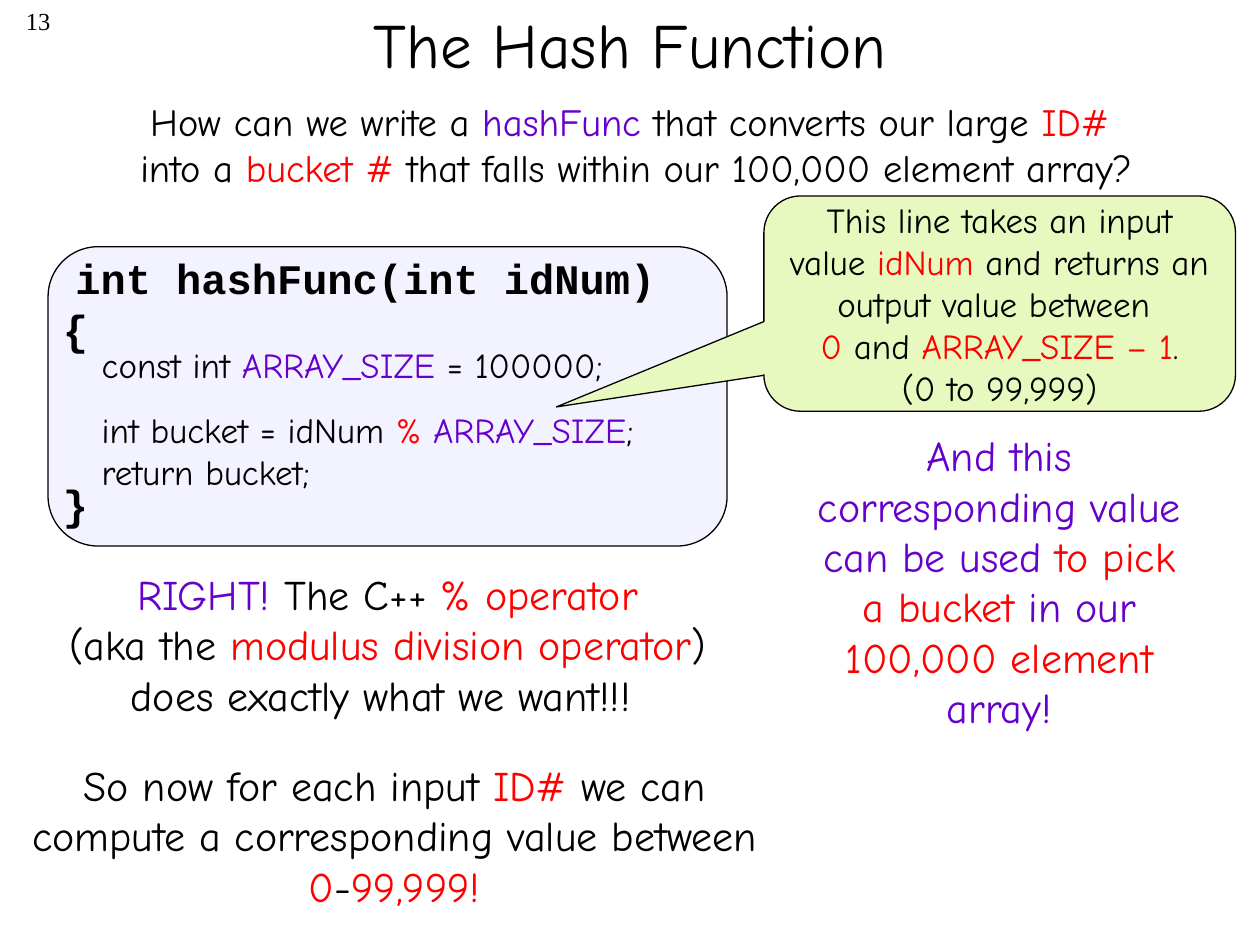
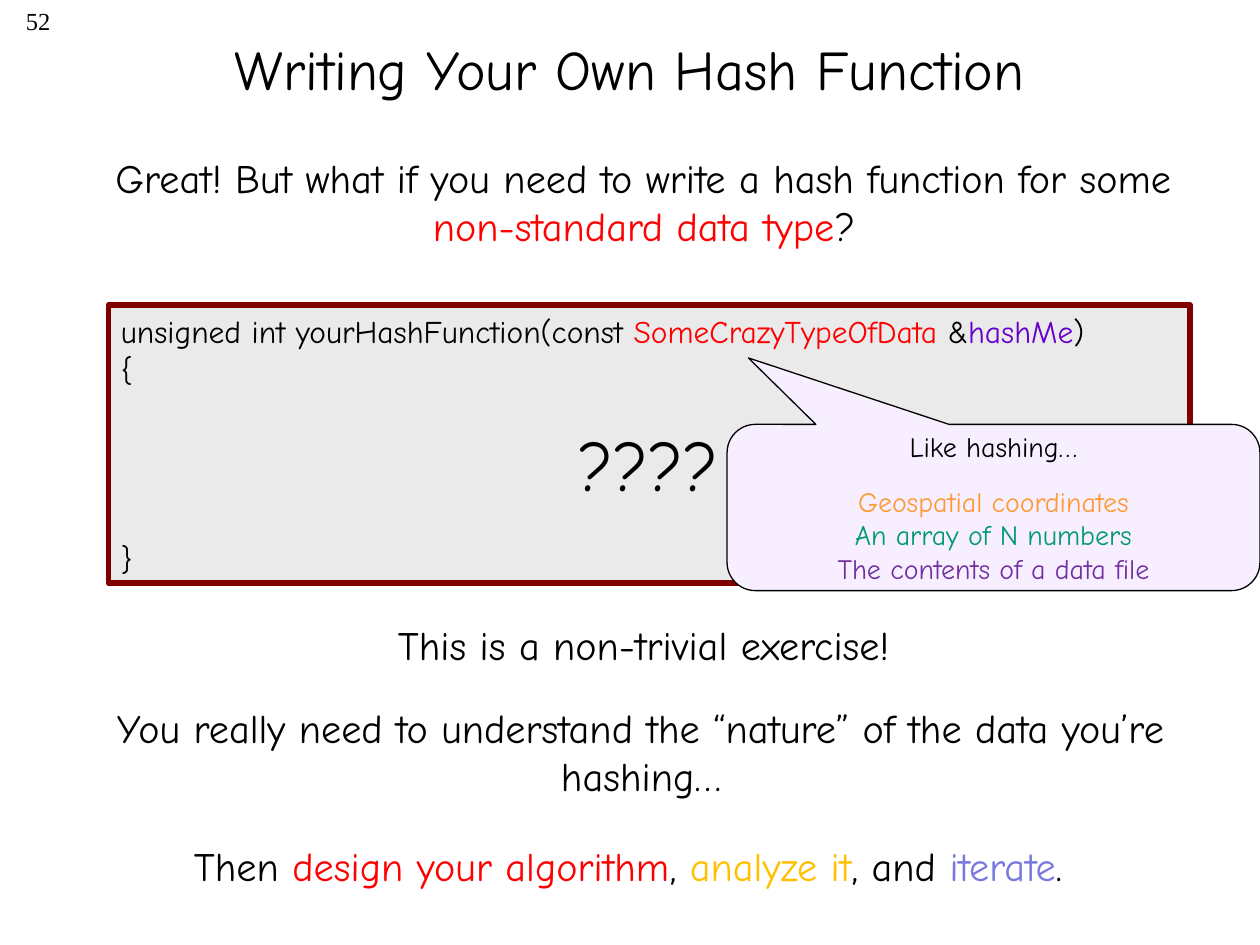
from pptx import Presentation
from pptx.dml.color import RGBColor
from pptx.enum.shapes import MSO_SHAPE
from pptx.enum.text import MSO_ANCHOR, MSO_AUTO_SIZE, PP_ALIGN
from pptx.util import Pt

COLORS = {
    "black": "000000", "red": "FF0000", "violet": "6600CC", "orange": "FF9933",
    "green": "009973", "purple": "7030A0", "gold": "FFC000", "periwinkle": "7878DE",
    "maroon": "800000", "lavender": "F3F3FF", "lime": "E7F9BF", "gray": "EAEAEA",
    "lilac": "F7EFFF",
}
BODY = "Comic Neue"
CODE = "Courier New"
NUMBER = "Times New Roman"
TITLE_SIZE = (612, 90)
NUMBER_BOX = (0, 0, 36, 36)

# A paragraph is a list of spans: plain text is black, (text, color) is colored.
# A dict at the head of a paragraph holds its format.
# Every part is drawn in order, from back to front; places are in points.
PAGES = [
    {
        "number": "13", "title": "The Hash Function", "title_size": 36, "title_top": -20,
        "parts": [
            {"at": (27.5, 141, 388, 171), "shape": MSO_SHAPE.ROUNDED_RECTANGLE,
             "fill": "lavender"},
            {"at": (28.8, 141, 387, 162), "size": 24, "font": CODE, "bold": True,
             "align": PP_ALIGN.LEFT, "text": [
                 [{"left_indent": 7.2}, "int hashFunc(int idNum)"],
                 ["{"],
                 [{"space_before": 71}, "}"]]},
            {"at": (21, 52.5, 685, 60), "size": 22, "text": [
                ["How can we write a ", ("hashFunc ", "violet"),
                 "that converts our large ", ("ID# \n", "red"),
                 "into a ", ("bucket # ", "red"),
                 "that falls within our 100,000 element array?"]]},
            {"at": (51, 193, 411, 94), "size": 20, "align": PP_ALIGN.LEFT, "text": [
                ["const int ", ("ARRAY_SIZE", "violet"), " = 100000;"],
                [{"space_before": 13}, "int bucket = idNum ", ("% ", "red"),
                 ("ARRAY_SIZE", "violet"), ";"],
                ["return bucket;"]]},
            {"at": (-38, 321.3, 527, 94), "size": 24, "text": [
                [("RIGHT! ", "violet"), "The C++ ", ("% operator \n", "red"),
                 "(aka the ", ("modulus division operator", "red"),
                 ") \ndoes exactly what we want!!!  "]]},
            {"at": (436.5, 112, 269.5, 123), "size": 20, "fill": "lime",
             "shape": MSO_SHAPE.ROUNDED_RECTANGULAR_CALLOUT,
             "adjust": (-0.94, 0.48, 0.17), "text": [
                 ["This line takes an input value ", ("idNum", "red"),
                  " and returns an output value between \n", ("0 ", "red"), "and ",
                  ("ARRAY_SIZE – 1", "red"), "."],
                 ["(0 to 99,999)"]]},
            {"at": (5, 430.5, 441, 94), "size": 24, "text": [
                ["So now for each input ", ("ID#", "red"),
                 " we can compute a corresponding value between ",
                 ("0", "red"), "-", ("99,999!", "red")]]},
            {"at": (457, 242, 228, 181), "size": 24, "text": [
                [("And this corresponding value can be used ", "violet"),
                 ("to pick a bucket", "red"), (" in our ", "violet"),
                 ("100,000 element ", "red"), ("array!", "violet")]]},
        ],
    },
    {
        "number": "52", "title": "Writing Your Own Hash Function",
        "title_size": 32, "title_top": -6,
        "parts": [
            {"at": (32, 84, 672, 63), "size": 23, "text": [
                ["Great! But what if you need to write a hash function for some ",
                 ("non-standard data type", "red"), "?"]]},
            {"at": (62, 174.3, 618, 159), "size": 18, "shape": MSO_SHAPE.RECTANGLE,
             "fill": "gray", "line": "maroon", "line_width": 3.25,
             "align": PP_ALIGN.LEFT, "text": [
                 ["unsigned int yourHashFunction(const ",
                  ("SomeCrazyTypeOfData ", "red"), "&", ("hashMe", "violet"), ")"],
                 ["{"],
                 [{"space_before": 86.4}, "}"]]},
            {"at": (34.5, 237.5, 672, 55), "size": 40, "text": [["????"]]},
            {"at": (32, 351, 672, 35), "size": 23, "text": [
                ["This is a non-trivial exercise!"]]},
            {"at": (30.4, 398.3, 672, 63), "size": 23, "text": [
                ["You really need to understand the “nature” of the data you’re hashing…"]]},
            {"at": (415.5, 242.5, 304.5, 95), "size": 16, "fill": "lilac",
             "shape": MSO_SHAPE.ROUNDED_RECTANGULAR_CALLOUT,
             "adjust": (-0.46, -0.9, 0.17), "text": [
                 ["Like hashing…"],
                 [{"space_before": 12}, ("Geospatial coordinates", "orange")],
                 [("An array of N numbers", "green")],
                 [("The contents of a data file", "purple")]]},
            {"at": (13, 477, 707, 35), "size": 23, "text": [
                ["Then ", ("design your algorithm", "red"), ", ",
                 ("analyze it", "gold"), ", and ", ("iterate", "periwinkle"), ".  "]]},
        ],
    },
]


def rgb(name):
    return RGBColor.from_string(COLORS[name])


def set_all(target, values):
    for name, value in values.items():
        setattr(target, name, value)


def place(box, at):
    set_all(box, dict(zip(("left", "top", "width", "height"), map(Pt, at))))


def add_span(para, text, color, font):
    for index, line in enumerate(text.split("\n")):
        if index:
            para.add_line_break()
        if line:
            span = para.add_run()
            span.text = line
            set_all(span.font, font)
            span.font.color.rgb = rgb(color)


def write(box, paragraphs, size, font=BODY, bold=False, align=PP_ALIGN.CENTER,
          anchor=MSO_ANCHOR.TOP):
    frame = box.text_frame
    set_all(frame, {"word_wrap": True, "auto_size": MSO_AUTO_SIZE.NONE,
                    "vertical_anchor": anchor})
    span_format = {"name": font, "size": Pt(size), "bold": bold}
    for index, spans in enumerate(paragraphs):
        para = frame.add_paragraph() if index else frame.paragraphs[0]
        para.alignment = align
        for item in spans:
            if isinstance(item, dict):
                if "left_indent" in item:
                    para._p.get_or_add_pPr().set("marL", str(Pt(item["left_indent"])))
                if "space_before" in item:
                    para.space_before = Pt(item["space_before"])
            else:
                text, color = (item, "black") if isinstance(item, str) else item
                add_span(para, text, color, span_format)


def add_part(page, at, text=(), shape=None, fill=None, line="black", line_width=0.75,
             adjust=(), **text_format):
    if shape is None:
        box = page.shapes.add_textbox(*map(Pt, at))
    else:
        box = page.shapes.add_shape(shape, *map(Pt, at))
        box.shadow.inherit = False
        box.fill.solid()
        box.fill.fore_color.rgb = rgb(fill)
        box.line.color.rgb = rgb(line)
        box.line.width = Pt(line_width)
        for index, value in enumerate(adjust):
            box.adjustments[index] = value
        text_format["anchor"] = MSO_ANCHOR.MIDDLE
    if text:
        write(box, text, **text_format)


def add_page(deck, content):
    page = deck.slides.add_slide(deck.slide_layouts[5])
    title = page.shapes.title
    place(title, (54, content["title_top"], *TITLE_SIZE))
    write(title, [[content["title"]]], content["title_size"], anchor=MSO_ANCHOR.MIDDLE)
    add_part(page, NUMBER_BOX, [[content["number"]]], size=14, font=NUMBER,
             align=PP_ALIGN.RIGHT)
    for part in content["parts"]:
        add_part(page, **part)


def main():
    deck = Presentation()
    set_all(deck, {"slide_width": Pt(720), "slide_height": Pt(540)})
    for content in PAGES:
        add_page(deck, content)
    deck.save("out.pptx")


if __name__ == "__main__":
    main()
